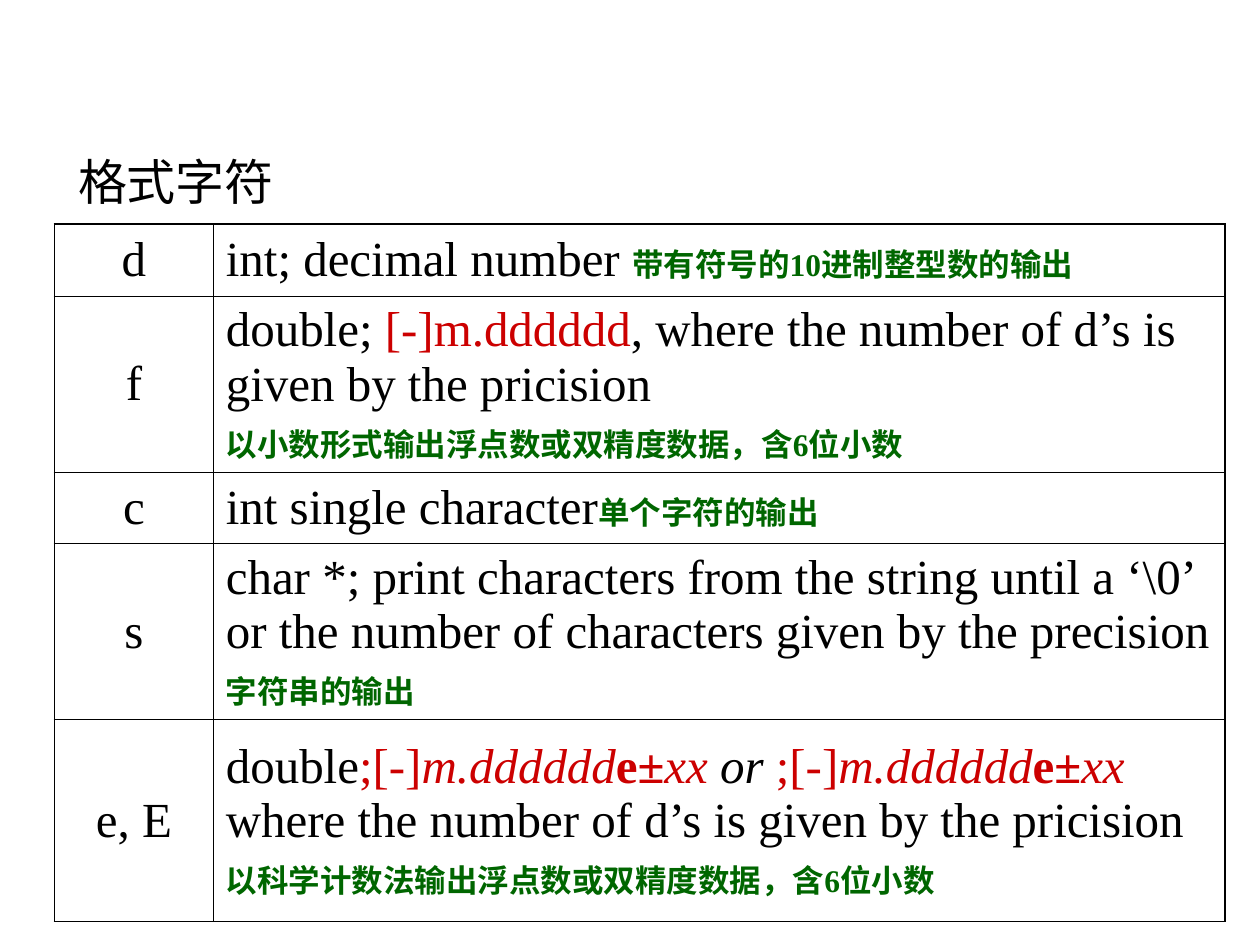
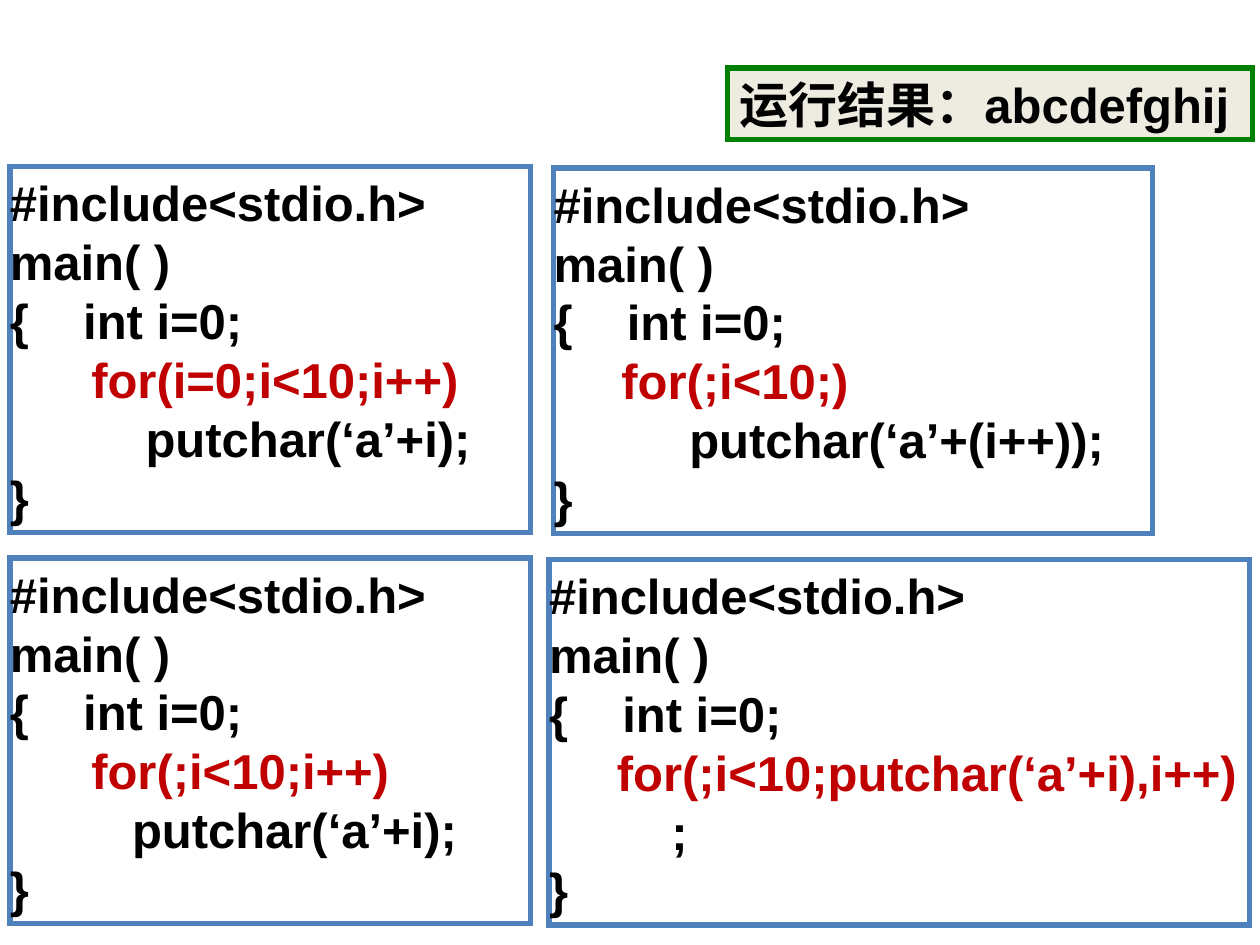
"""Build two slides on C output: a table of format characters and four ways to write a for loop."""
from dataclasses import dataclass

from lxml.etree import SubElement
from pptx import Presentation
from pptx.dml.color import RGBColor
from pptx.enum.shapes import MSO_SHAPE
from pptx.enum.text import MSO_ANCHOR, MSO_AUTO_SIZE, PP_ALIGN
from pptx.oxml.ns import qn
from pptx.util import Cm, Pt


@dataclass(frozen=True)
class Theme:
    sans: str = "Arial"
    serif: str = "Times New Roman"
    large: Pt = Pt(28)
    small: Pt = Pt(18)
    thick: Pt = Pt(3)
    outer: Pt = Pt(1.08)
    inner: Pt = Pt(0.45)
    ink: RGBColor = RGBColor(0, 0, 0)
    red: RGBColor = RGBColor(0xCC, 0, 0)
    loop: RGBColor = RGBColor(0xC0, 0, 0)
    note: RGBColor = RGBColor(0, 0x66, 0)
    blue: RGBColor = RGBColor(0x4F, 0x81, 0xBD)
    green: RGBColor = RGBColor(0, 0x80, 0)
    cream: RGBColor = RGBColor(0xEE, 0xEC, 0xE1)
    white: RGBColor = RGBColor(0xFF, 0xFF, 0xFF)


theme = Theme()


def style(font, name, size, color, bold=False):
    font.name, font.size, font.bold = name, size, bold
    font.color.rgb = color


def paint(shape, fill, line):
    shape.fill.solid()
    shape.fill.fore_color.rgb = fill
    shape.line.color.rgb = line
    shape.line.width = theme.thick
    SubElement(shape.line._get_or_add_ln(), qn("a:miter"), lim="800000")


deck = Presentation()
deck.slide_width, deck.slide_height = Cm(25.4), Cm(19.05)
heads = [
    ("格式字符", (1.32, 2.92, 4.45, 1.45), False),
    ("运行结果：abcdefghij", (14.66, 1.37, 10.59, 1.45), True),
]
slides = []
for words, box, bold in heads:
    slide = deck.slides.add_slide(deck.slide_layouts[5])
    slides.append(slide)
    title = slide.shapes.title
    title.left, title.top, title.width, title.height = [Cm(n) for n in box]
    text = title.text_frame
    text.text = words
    text.word_wrap = False
    text.margin_right = 0
    text.auto_size = MSO_AUTO_SIZE.NONE
    text.vertical_anchor = MSO_ANCHOR.TOP
    para = text.paragraphs[0]
    para.alignment = PP_ALIGN.LEFT
    style(para.font, theme.sans, theme.large, theme.ink, bold)
first, second = slides

power = [(";[-]", "red"), ("m.dddddd", "red italic"), ("e±", "red bold")]
rows = [
    ("d", 1.45, [[("int; decimal number ", ""), ("带有符号的10进制整型数的输出", "note")]]),
    ("f", 3.55, [[("double; ", ""), ("[-]m.dddddd", "red"),
                  (", where the number of d’s is given by the pricision", "")],
                 [("以小数形式输出浮点数或双精度数据，含6位小数", "note")]]),
    ("c", 1.44, [[("int single character", ""), ("单个字符的输出", "note")]]),
    ("s", 3.55, [[("char *; print characters from the string until a ‘\\0’ "
                   "or the number of characters given by the precision", "")],
                 [("字符串的输出", "note")]]),
    ("e, E", 4.07, [[("double", ""), *power, ("xx", "red italic"), (" or ", "italic"),
                     *power, ("xx ", "red italic"),
                     ("where the number of d’s is given by the pricision", "")],
                    [("以科学计数法输出浮点数或双精度数据，含6位小数", "note")]]),
]
frame = first.shapes.add_table(len(rows), 2, Cm(1.1), Cm(4.52), Cm(23.6), Cm(14.06))
table = frame.table
table.first_row = table.horz_banding = False
table.columns[0].width, table.columns[1].width = Cm(3.2), Cm(20.4)

for y, (mark, height, lines) in enumerate(rows):
    table.rows[y].height = Cm(height)
    for x, paras in enumerate(([[(mark, "")]], lines)):
        cell = table.cell(y, x)
        cell.vertical_anchor = MSO_ANCHOR.MIDDLE
        text = cell.text_frame
        for n, parts in enumerate(paras):
            para = text.add_paragraph() if n else text.paragraphs[0]
            para.alignment = PP_ALIGN.LEFT if x else PP_ALIGN.CENTER
            if n:
                para.space_before = Pt(4.5)
            if parts[0][1] == "note":
                style(para.font, theme.serif, theme.small, theme.note, True)
            else:
                style(para.font, theme.serif, theme.large, theme.ink)
            for words, look in parts:
                run = para.add_run()
                run.text = words
                if look == "note" and len(parts) > 1:
                    style(run.font, theme.serif, theme.small, theme.note, True)
                if "red" in look:
                    run.font.color.rgb = theme.red
                if "italic" in look:
                    run.font.italic = True
                if "bold" in look:
                    run.font.bold = True
        props = cell._tc.get_or_add_tcPr()
        edges = {"L": x == 0, "R": x == 1, "T": y == 0, "B": False}
        for side, edge in edges.items():
            width = theme.outer if edge else theme.inner
            line = SubElement(props, qn(f"a:ln{side}"), w=str(int(width)))
            fill = SubElement(line, qn("a:solidFill"))
            SubElement(fill, qn("a:srgbClr"), val=str(theme.ink))
        cell.fill.background()

paint(second.shapes.title, theme.cream, theme.green)

panels = [
    (0.2, 3.36, 10.49, "      for(i=0;i<10;i++)", "          putchar(‘a’+i);"),
    (0.2, 11.25, 10.49, "      for(;i<10;i++)", "         putchar(‘a’+i);"),
    (11.16, 3.39, 12.07, "     for(;i<10;)", "          putchar(‘a’+(i++));"),
    (11.07, 11.28, 14.12, "     for(;i<10;putchar(‘a’+i),i++)", "         ;"),
]
for left, top, width, loop, body in panels:
    panel = second.shapes.add_shape(MSO_SHAPE.RECTANGLE, Cm(left), Cm(top), Cm(width), Cm(7.37))
    panel.shadow.inherit = False
    paint(panel, theme.white, theme.blue)
    text = panel.text_frame
    text.margin_left = 0
    text.word_wrap = True
    text.vertical_anchor = MSO_ANCHOR.TOP
    code = ["#include<stdio.h>", "main( )", "{    int i=0;", loop, body, "}"]
    text.text = "\n".join(code)
    for para, line in zip(text.paragraphs, code):
        para.alignment = PP_ALIGN.LEFT
        style(para.font, theme.sans, theme.large, theme.loop if line == loop else theme.ink, True)

deck.save("out.pptx")
